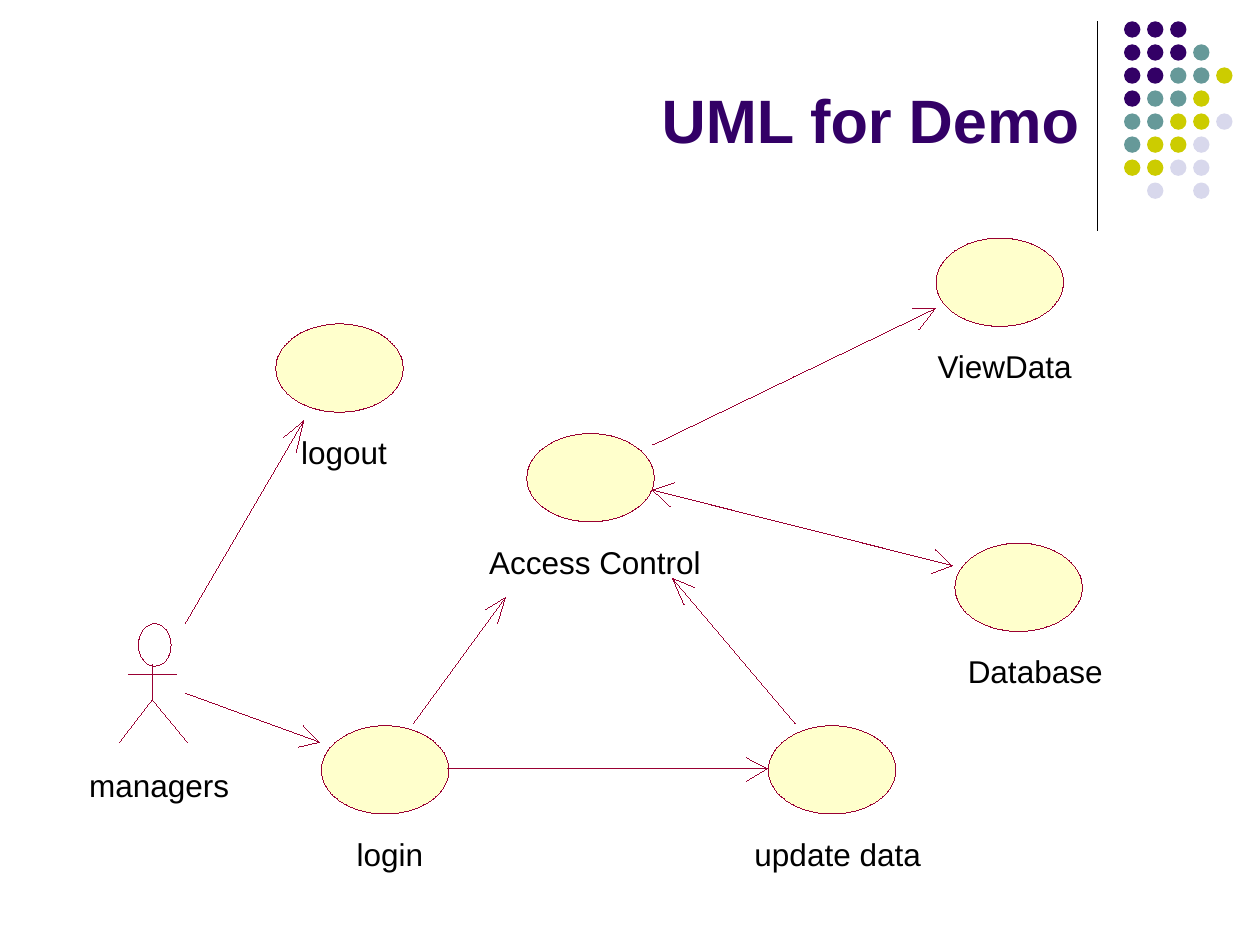
import pptx
import pptx.dml.color
import pptx.enum.shapes
import pptx.enum.text
import pptx.oxml.ns
import pptx.util
from lxml import etree

Cm = pptx.util.Cm
Pt = pptx.util.Pt
OVAL = pptx.enum.shapes.MSO_SHAPE.OVAL
STRAIGHT = pptx.enum.shapes.MSO_CONNECTOR.STRAIGHT
ALIGN = pptx.enum.text.PP_ALIGN
ANCHOR = pptx.enum.text.MSO_ANCHOR

COLORS = {
    "text": "000000",
    "title": "330066",
    "outline": "990033",
    "use_case": "FFFFCC",
    "P": "330066",
    "T": "669999",
    "Y": "CCCC00",
    "L": "D8D8EC",
}

HAIRLINE = 0.01

DOT_ROWS = ["PPP", "PPPT", "PPTTY", "PTTY", "TTYYL", "TYYL", "YYLL", " L L"]
DOT_LEFT, DOT_TOP, DOT_SIZE = 22.66, 0.43, 0.33
DOT_PITCH = 3.25 / 7

CASE_W, CASE_H, LABEL_DROP = 2.57, 1.78, 2.2

USE_CASES = [
    ("logout", 5.56, 6.53, 6.07, 1.85),
    ("Database", 19.25, 10.95, 19.51, 2.85),
    ("update data", 15.49, 14.63, 15.21, 3.5),
    ("ViewData", 18.87, 4.8, 18.9, 2.85),
    ("Access Control", 10.62, 8.74, 9.86, 4.4),
    ("login", 6.48, 14.63, 7.19, 1.5),
]

ARROWS = [
    ((3.73, 12.57), (6.12, 8.48), (5.97, 9.12), (5.72, 8.81)),
    ((13.16, 9.88), (19.2, 11.4), (18.85, 11.07), (18.77, 11.56)),
    ((19.2, 11.4), (13.16, 9.88), (13.59, 9.73), (13.51, 10.21)),
    ((16.03, 14.58), (13.56, 11.66), (14, 11.84), (13.79, 12.19)),
    ((13.16, 8.97), (18.85, 6.22), (18.52, 6.65), (18.39, 6.22)),
    ((3.73, 13.97), (6.45, 14.96), (6.12, 14.63), (6.02, 15.06)),
    ((9.02, 15.49), (15.47, 15.49), (15.04, 15.75), (15.04, 15.27)),
    ((8.33, 14.58), (10.19, 12.04), (10.03, 12.57), (9.78, 12.29)),
]


def rgb(name):
    return pptx.dml.color.RGBColor.from_string(COLORS[name])


def set_line(line, color, width=HAIRLINE):
    line.color.rgb = rgb(color)
    line.width = Pt(width)


def add_oval(s, left, top, width, height, fill=None, outline=None):
    sp = s.shapes.add_shape(OVAL, Cm(left), Cm(top), Cm(width), Cm(height))
    sp.shadow.inherit = False
    if fill:
        sp.fill.solid()
        sp.fill.fore_color.rgb = rgb(fill)
    else:
        sp.fill.background()
    if outline:
        set_line(sp.line, outline)
    else:
        sp.line.fill.background()


def add_line(s, start, end, color="outline", width=HAIRLINE):
    c = s.shapes.add_connector(STRAIGHT, *map(Cm, start + end))
    set_line(c.line, color, width)
    etree.SubElement(c._element.spPr, pptx.oxml.ns.qn("a:effectLst"))


def add_path(s, points):
    pts = [(Cm(x), Cm(y)) for x, y in points]
    builder = s.shapes.build_freeform(*pts[0])
    builder.add_line_segments(pts[1:], close=False)
    sp = builder.convert_to_shape()
    sp.shadow.inherit = False
    sp.fill.background()
    set_line(sp.line, "outline")


def add_text(s, text, left, top, width, height, size, color, bold=False):
    tf = s.shapes.add_textbox(Cm(left), Cm(top), Cm(width), Cm(height)).text_frame
    tf.text = text
    tf.margin_left = tf.margin_right = tf.margin_top = tf.margin_bottom = 0
    tf.word_wrap = False
    font = tf.paragraphs[0].runs[0].font
    font.name = "Arial"
    font.size = Pt(size)
    font.bold = bold
    font.color.rgb = rgb(color)
    return tf


def add_label(s, text, left, top, width):
    tf = add_text(s, text, left, top, width, 0.76, 18, "text")
    tf.paragraphs[0].alignment = ALIGN.LEFT


def add_title(s, text):
    tf = add_text(s, text, 1.07, 1.07, 20.96, 3.61, 35, "title", bold=True)
    tf.word_wrap = True
    tf.margin_left = tf.margin_right = Cm(0.27)
    tf.margin_top = Cm(0.13)
    tf.margin_bottom = Cm(1.74)
    tf.vertical_anchor = ANCHOR.BOTTOM
    tf.paragraphs[0].alignment = ALIGN.RIGHT


def add_dots(s):
    for row, codes in enumerate(DOT_ROWS):
        for col, code in enumerate(codes):
            if code != " ":
                add_oval(s, DOT_LEFT + col * DOT_PITCH, DOT_TOP + row * DOT_PITCH,
                         DOT_SIZE, DOT_SIZE, code)


def add_use_case(s, name, left, top, label_left, label_width):
    add_oval(s, left, top, CASE_W, CASE_H, "use_case", "outline")
    add_label(s, name, label_left, top + LABEL_DROP, label_width)


def add_actor(s, name):
    add_oval(s, 2.79, 12.57, 0.66, 0.86, outline="outline")
    add_line(s, (3.07, 13.39), (3.07, 14.1))
    add_line(s, (2.59, 13.59), (3.56, 13.59))
    add_path(s, [(2.41, 14.96), (3.07, 14.1), (3.78, 14.96)])
    add_label(s, name, 1.8, 15.44, 2.95)


def add_arrow(s, start, tip, barb_a, barb_b):
    middle = tuple((a + b) / 2 for a, b in zip(start, tip))
    add_path(s, [middle, tip, barb_a])
    add_line(s, tip, barb_b)
    add_line(s, middle, start)


def main():
    prs = pptx.Presentation()
    prs.slide_width = Cm(25.4)
    prs.slide_height = Cm(19.05)
    s = prs.slides.add_slide(prs.slide_layouts[6])
    add_line(s, (22.12, 0.43), (22.12, 4.65), "text", 0.75)
    add_dots(s)
    add_title(s, "UML for Demo")
    add_actor(s, "managers")
    for case in USE_CASES:
        add_use_case(s, *case)
    for arrow in ARROWS:
        add_arrow(s, *arrow)
    prs.save("out.pptx")


if __name__ == "__main__":
    main()
